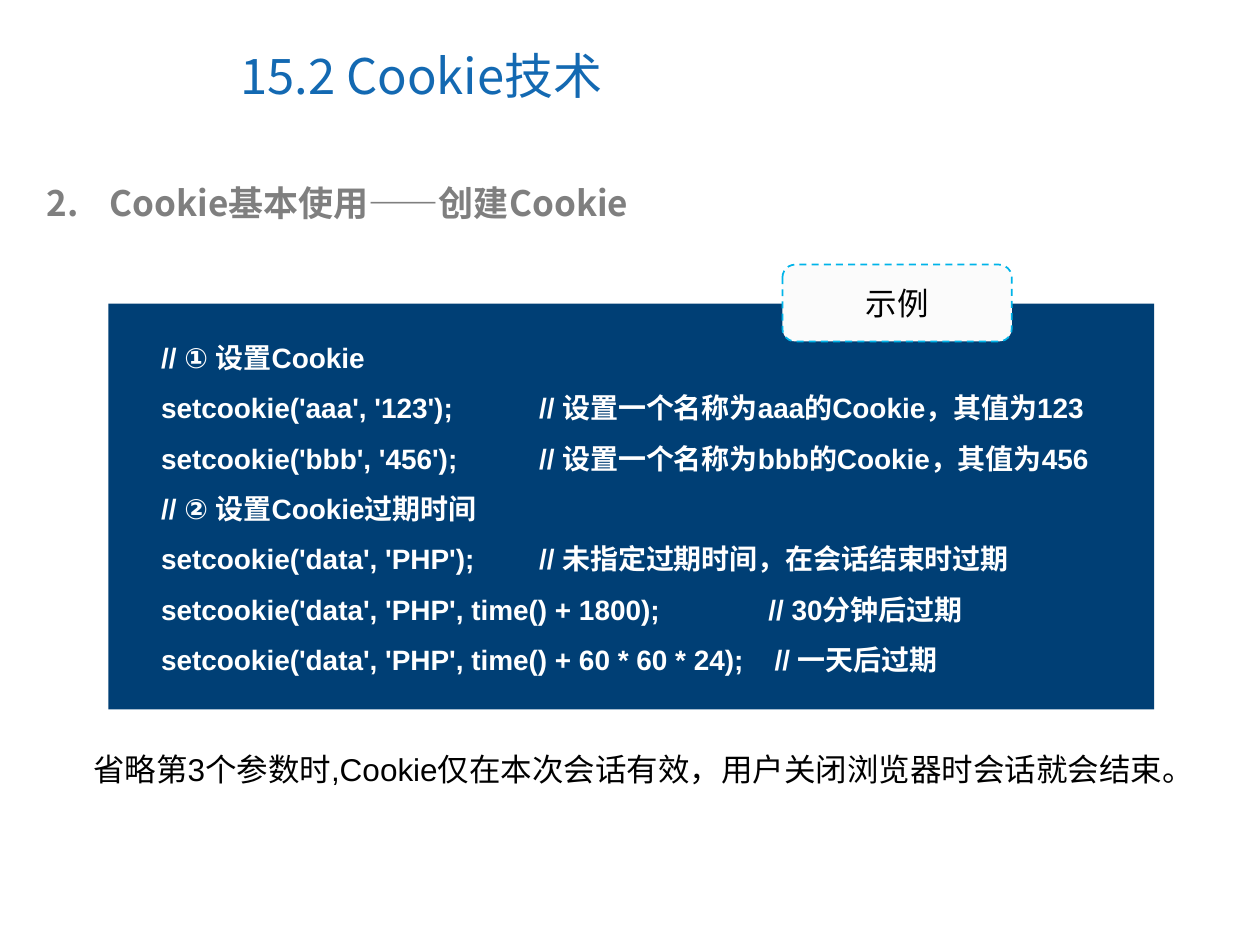
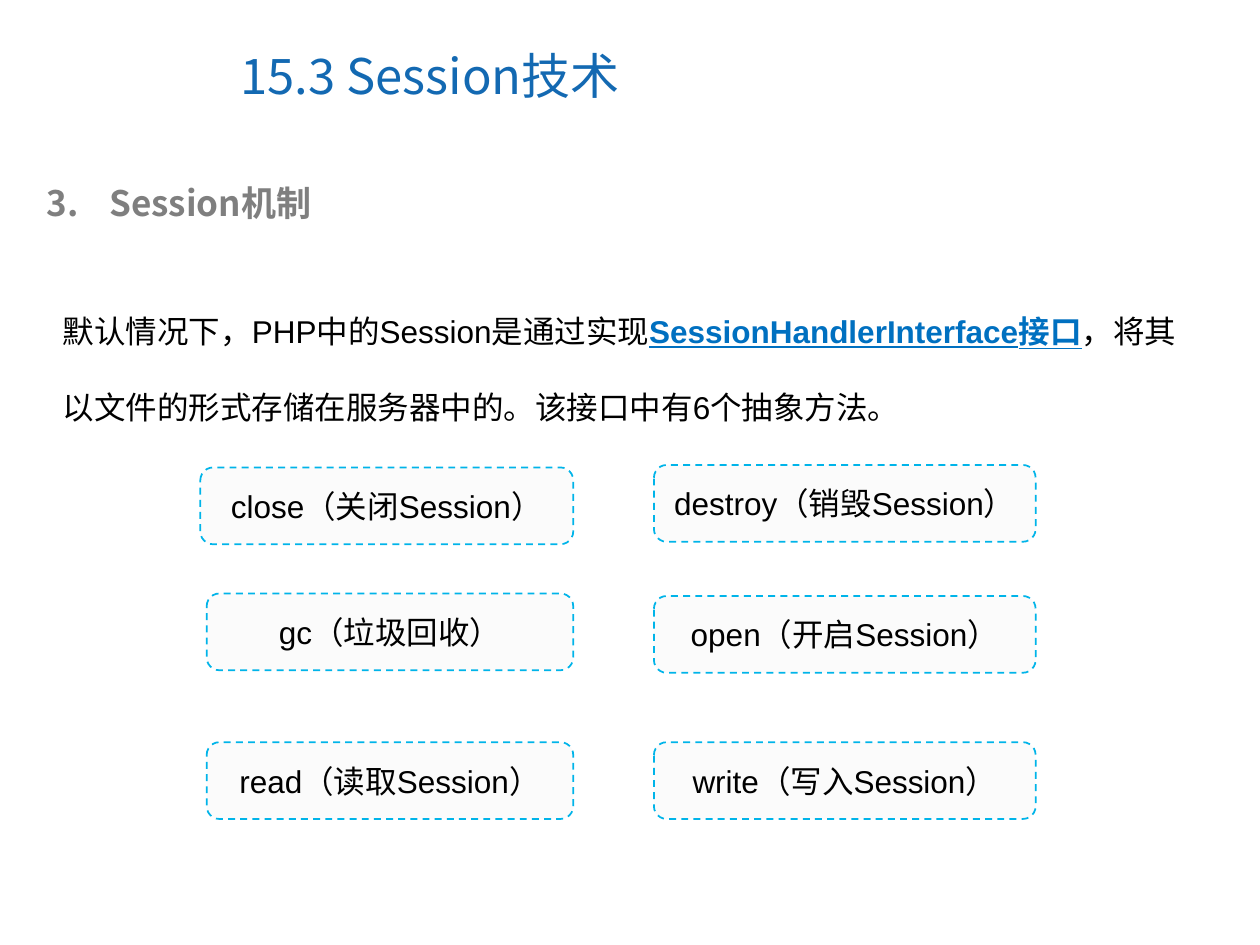
"""Build two slides on PHP cookies and sessions."""
from lxml.etree import SubElement
from pptx import Presentation
from pptx.dml.color import RGBColor
from pptx.enum.dml import MSO_LINE
from pptx.enum.shapes import MSO_SHAPE
from pptx.enum.text import MSO_ANCHOR, PP_ALIGN
from pptx.oxml.ns import qn
from pptx.util import Inches, Pt

HEADING_FONT, BODY_FONT = "Noto Sans CJK SC", "Arial"
TITLE_BLUE, HEADING_GRAY, LINK_BLUE = "1369B2", "7F7F7F", "0070C0"
NAVY, WHITE, BLACK = "003F75", "FFFFFF", "000000"
CARD_FILL, CARD_BORDER = "FBFBFB", "00B4E9"
CARD_HEIGHT = 0.61

COOKIE_TITLE = "15.2 Cookie技术"
COOKIE_HEADING = (2, "Cookie基本使用——创建Cookie")
CODE_LINES = [
    ("// ① 设置Cookie", None),
    ("setcookie('aaa', '123');\t// 设置一个名称为aaa的Cookie，其值为123", 3),
    ("setcookie('bbb', '456');\t// 设置一个名称为bbb的Cookie，其值为456", 3),
    ("// ② 设置Cookie过期时间", None),
    ("setcookie('data', 'PHP');\t// 未指定过期时间，在会话结束时过期", 3),
    ("setcookie('data', 'PHP', time() + 1800);\t// 30分钟后过期", 4.82),
    ("setcookie('data', 'PHP', time() + 60 * 60 * 24);\t// 一天后过期", 4.87),
]
EXAMPLE_LABEL = "示例"
COOKIE_NOTE = "省略第3个参数时,Cookie仅在本次会话有效，用户关闭浏览器时会话就会结束。"

SESSION_TITLE = "15.3 Session技术"
SESSION_HEADING = (3, "Session机制")
SESSION_INTRO = [
    ("默认情况下，PHP中的Session是通过实现", False),
    ("SessionHandlerInterface接口", True),
    ("，将其以文件的形式存储在服务器中的。该接口中有6个抽象方法。", False),
]
LEFT_METHODS = [
    ("close（关闭Session）", 1.59, 3.71),
    ("gc（垃圾回收）", 1.64, 4.71),
    ("read（读取Session）", 1.64, 5.89),
]
LEFT_METHODS_END = 4.55
RIGHT_METHODS = [
    ("destroy（销毁Session）", 3.69),
    ("open（开启Session）", 4.73),
    ("write（写入Session）", 5.89),
]
RIGHT_METHODS_START, RIGHT_METHODS_WIDTH = 5.19, 3.03


def rgb(hex_color):
    return RGBColor.from_string(hex_color)


def style(paragraph, size, color, name=BODY_FONT, bold=False):
    font = paragraph.font
    font.size, font.name, font.bold = Pt(size), name, bold
    font.color.rgb = rgb(color)


def add_text_frame(slide, left, top, width, height):
    frame = slide.shapes.add_textbox(
        Inches(left), Inches(top), Inches(width), Inches(height)).text_frame
    frame.word_wrap = True
    return frame


def add_filled(slide, preset, left, top, width, height, fill):
    shape = slide.shapes.add_shape(
        preset, Inches(left), Inches(top), Inches(width), Inches(height))
    shape.shadow.inherit = False
    shape.fill.solid()
    shape.fill.fore_color.rgb = rgb(fill)
    shape.line.fill.background()
    return shape


def add_card(slide, label, left, top, width):
    card = add_filled(slide, MSO_SHAPE.ROUNDED_RECTANGLE,
                      left, top, width, CARD_HEIGHT, CARD_FILL)
    card.line.color.rgb = rgb(CARD_BORDER)
    card.line.width = Pt(1)
    card.line.dash_style = MSO_LINE.DASH
    card.text_frame.vertical_anchor = MSO_ANCHOR.MIDDLE
    paragraph = card.text_frame.paragraphs[0]
    paragraph.text = label
    paragraph.alignment = PP_ALIGN.CENTER
    style(paragraph, 18, BLACK)


def add_numbering(paragraph, number):
    properties = paragraph._p.get_or_add_pPr()
    properties.set("marL", str(Inches(0.5)))
    properties.set("indent", str(-Inches(0.5)))
    bullet_color = SubElement(properties, qn("a:buClr"))
    SubElement(bullet_color, qn("a:srgbClr"), val=HEADING_GRAY)
    SubElement(properties, qn("a:buFont"), typeface=HEADING_FONT)
    SubElement(properties, qn("a:buAutoNum"), type="arabicPeriod", startAt=str(number))


def add_tab_stop(paragraph, position):
    tabs = SubElement(paragraph._p.get_or_add_pPr(), qn("a:tabLst"))
    SubElement(tabs, qn("a:tab"), pos=str(Inches(position)), algn="l")


def add_topic_slide(deck, title, heading):
    slide = deck.slides.add_slide(deck.slide_layouts[6])
    title_frame = add_text_frame(slide, 1.81, 0.17, 5.16, 0.85)
    title_frame.vertical_anchor = MSO_ANCHOR.MIDDLE
    title_frame.text = title
    style(title_frame.paragraphs[0], 28, TITLE_BLUE, HEADING_FONT)

    number, heading_text = heading
    heading_frame = add_text_frame(slide, 0.27, 1.39, 9.22, 0.44)
    heading_frame.text = heading_text
    add_numbering(heading_frame.paragraphs[0], number)
    style(heading_frame.paragraphs[0], 20, HEADING_GRAY, HEADING_FONT, True)
    return slide


def build_cookie_slide(deck):
    slide = add_topic_slide(deck, COOKIE_TITLE, COOKIE_HEADING)
    add_filled(slide, MSO_SHAPE.RECTANGLE, 0.86, 2.41, 8.3, 3.22, NAVY)
    code = add_text_frame(slide, 1.18, 2.52, 7.98, 2.9)
    for index, (line, comment_start) in enumerate(CODE_LINES):
        paragraph = code.add_paragraph() if index else code.paragraphs[0]
        paragraph.text = line
        paragraph.line_spacing = 1.5
        if comment_start:
            add_tab_stop(paragraph, comment_start)
        style(paragraph, 16, WHITE, bold=True)
    note = add_text_frame(slide, 0.64, 5.9, 9.04, 0.7)
    note.text = COOKIE_NOTE
    style(note.paragraphs[0], 18, BLACK)
    add_card(slide, EXAMPLE_LABEL, 6.21, 2.1, 1.82)


def build_session_slide(deck):
    slide = add_topic_slide(deck, SESSION_TITLE, SESSION_HEADING)
    intro = add_text_frame(slide, 0.4, 2.13, 9.19, 1.3).paragraphs[0]
    intro.line_spacing = 2.0
    style(intro, 18, BLACK)
    for text, emphasized in SESSION_INTRO:
        run = intro.add_run()
        run.text = text
        if emphasized:
            run.font.bold = run.font.underline = True
            run.font.color.rgb = rgb(LINK_BLUE)
    for label, left, top in LEFT_METHODS:
        add_card(slide, label, left, top, LEFT_METHODS_END - left)
    for label, top in RIGHT_METHODS:
        add_card(slide, label, RIGHT_METHODS_START, top, RIGHT_METHODS_WIDTH)


def main():
    deck = Presentation()
    deck.slide_width, deck.slide_height = Inches(10), Inches(7.5)
    build_cookie_slide(deck)
    build_session_slide(deck)
    deck.save("out.pptx")


if __name__ == "__main__":
    main()
